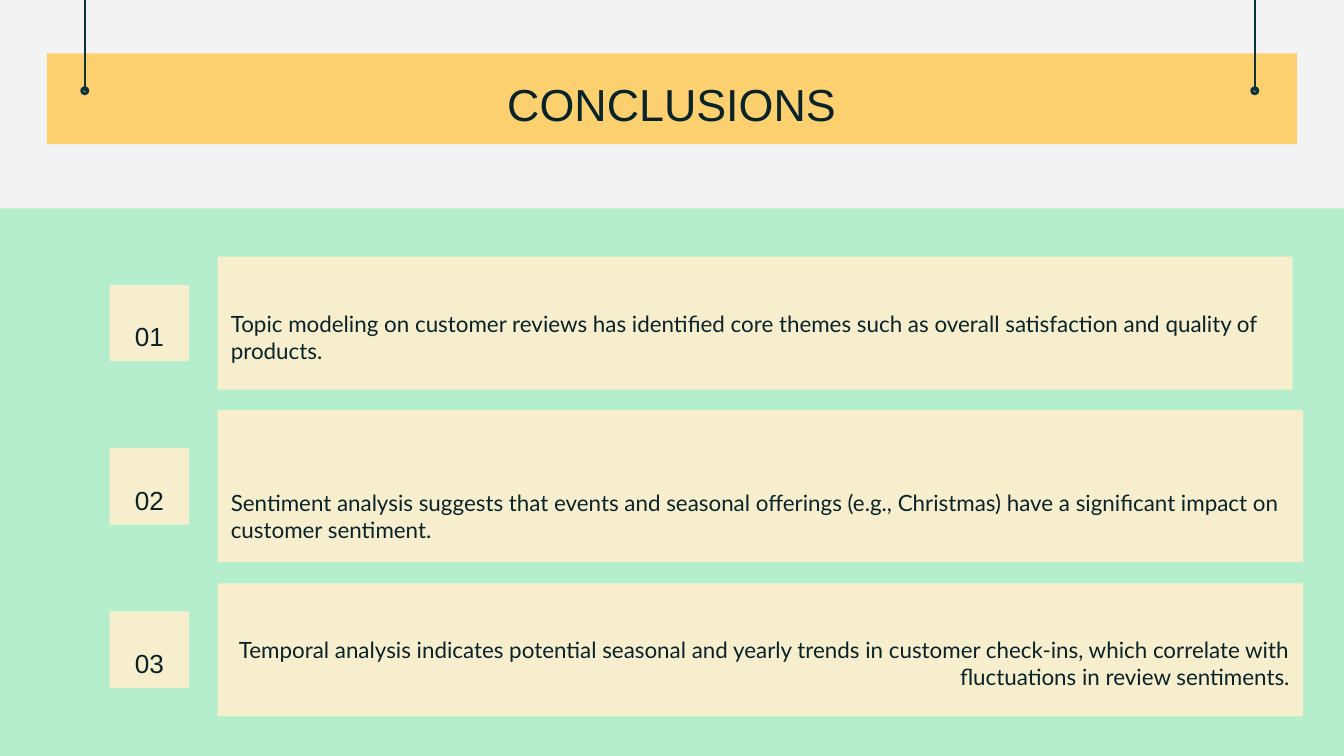
from pptx import Presentation
from pptx.dml.color import RGBColor
from pptx.enum.shapes import MSO_CONNECTOR, MSO_SHAPE
from pptx.enum.text import MSO_ANCHOR, PP_ALIGN
from pptx.oxml.ns import qn
from pptx.util import Pt
from lxml import etree

RECT, RING = MSO_SHAPE.RECTANGLE, MSO_SHAPE.DONUT
LINE = MSO_CONNECTOR.STRAIGHT
MID = MSO_ANCHOR.MIDDLE
LEFT, CENTER, RIGHT = PP_ALIGN.LEFT, PP_ALIGN.CENTER, PP_ALIGN.RIGHT

GREY = RGBColor(0xF3, 0xF3, 0xF3)
MINT = RGBColor(0xB5, 0xEE, 0xCC)
GOLD = RGBColor(0xFC, 0xD0, 0x6F)
CREAM = RGBColor(0xF7, 0xEE, 0xCE)
TEAL = RGBColor(0x0C, 0x34, 0x3D)
INK = RGBColor(0x09, 0x23, 0x29)

# Card top, height, width, extra top inset, alignment, text
CARDS = [
    (137.5, 71.3, 576, 0, LEFT,
     "Topic modeling on customer reviews has identified core themes such as "
     "overall satisfaction and quality of products."),
    (219.8, 81.4, 581.6, 18, LEFT,
     "Sentiment analysis suggests that events and seasonal offerings (e.g., "
     "Christmas) have a significant impact on customer sentiment."),
    (312.5, 71.3, 581.6, 0, RIGHT,
     "Temporal analysis indicates potential seasonal and yearly trends in "
     "customer check-ins, which correlate with fluctuations in review "
     "sentiments."),
]
BADGE_TOP, BADGE_STEP = 152.6, 87.5


def add_block(slide, box, fill, kind=RECT):
    block = slide.shapes.add_shape(kind, *map(Pt, box))
    block.shadow.inherit = False
    block.fill.solid()
    block.fill.fore_color.rgb = fill
    block.line.fill.background()
    return block


def set_text(shape, text, font, size, align, top, bottom):
    frame = shape.text_frame
    frame.text = text
    frame.word_wrap = True
    frame.vertical_anchor = MID
    frame.margin_left = frame.margin_right = Pt(7.2)
    frame.margin_top, frame.margin_bottom = Pt(top), Pt(bottom)
    para = frame.paragraphs[0]
    para.alignment = align
    style = para.runs[0].font
    style.name, style.size, style.color.rgb = font, Pt(size), INK


def add_pin(slide, mid, end):
    """Draw a cord hanging from the top edge, with a ring at its end."""
    cord = slide.shapes.add_connector(LINE, Pt(mid), 0, Pt(mid), Pt(end))
    cord.line.color.rgb = TEAL
    cord.line.width = Pt(1.25)
    etree.SubElement(cord.element.spPr, qn("a:effectLst"))
    ring = add_block(slide, (mid - 2, end - 2, 4, 4), TEAL, RING)
    ring.line.color.rgb = TEAL
    ring.line.width = Pt(0.75)


def add_header(slide, box):
    left, top, width, height = box
    add_block(slide, box, GOLD)
    for mid in (left + 20.2, left + width - 22.6):
        add_pin(slide, mid, top + 20)

    # Title, brought in front of the banner
    title = slide.shapes.title
    title.left, title.top = Pt(108), Pt(top + 4.5)
    title.width, title.height = Pt(503.5), Pt(45)
    set_text(title, "CONCLUSIONS", "Arial", 24, CENTER, 7.2, 7.2)
    title.element.getparent().append(title.element)


def add_cards(slide, box):
    add_block(slide, box, MINT)
    for num, (top, height, width, extra, align, text) in enumerate(CARDS):
        # Numbered badge
        badge = add_block(
            slide, (58.8, BADGE_TOP + num * BADGE_STEP, 42.6, 41), CREAM)
        set_text(badge, f"{num + 1:02}", "Arial", 14, CENTER, 14.4, 0)
        # Conclusion
        card = add_block(slide, (116.6, top, width, height), CREAM)
        set_text(card, text, "Lato", 12, align, 14.4 + extra, 0)


def main():
    deck = Presentation()
    deck.slide_width, deck.slide_height = Pt(720), Pt(405)
    slide = deck.slides.add_slide(deck.slide_layouts[5])
    slide.background.fill.solid()
    slide.background.fill.fore_color.rgb = GREY
    add_cards(slide, (-2, 111.6, 723.6, 293.4))
    add_header(slide, (25.2, 28.6, 669.6, 48.6))
    deck.save("out.pptx")


if __name__ == "__main__":
    main()
